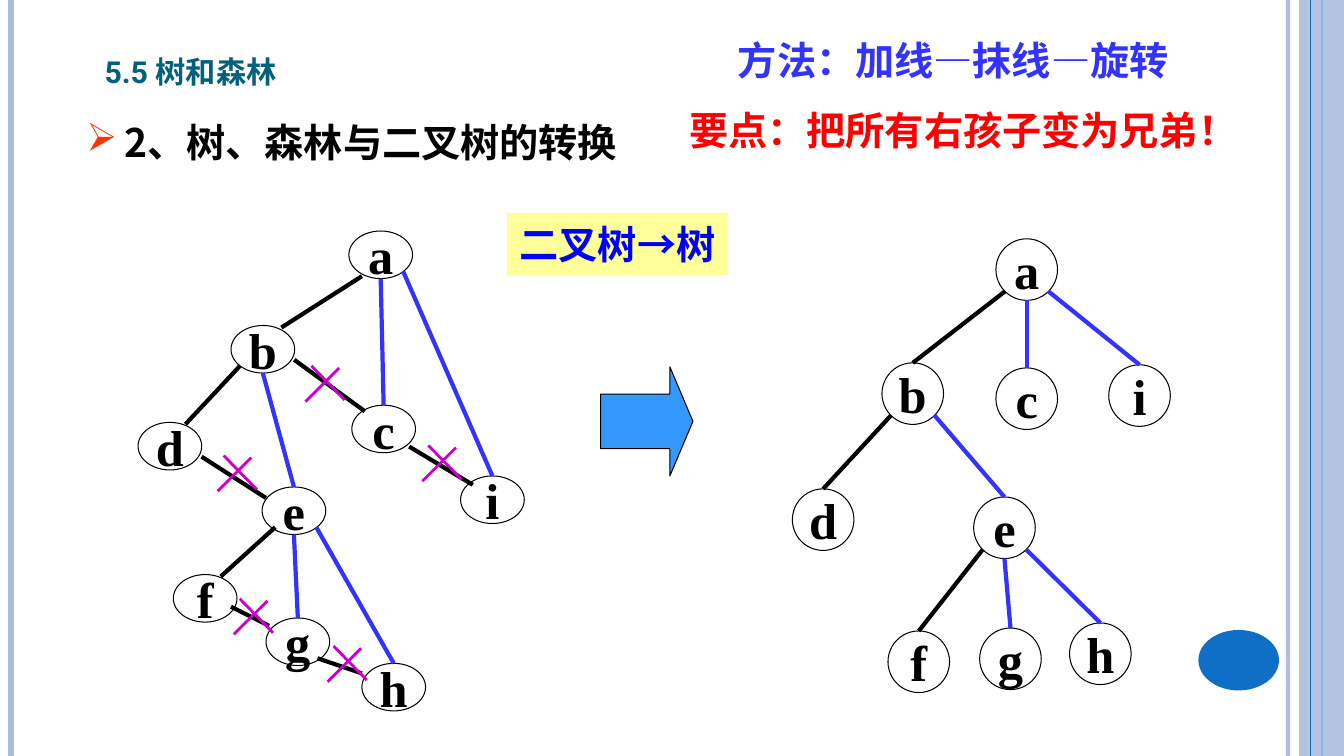
from dataclasses import dataclass
from math import sqrt
from typing import Optional

from lxml.etree import SubElement
from pptx import Presentation
from pptx.dml.color import RGBColor
from pptx.enum.shapes import MSO_CONNECTOR as Connector, MSO_SHAPE as Shape
from pptx.enum.text import MSO_ANCHOR as Anchor, PP_ALIGN as Align
from pptx.oxml.ns import qn
from pptx.util import Pt

COLORS = {
    "black": "000000", "white": "FFFFFF", "edge": "ABBBDF", "accent": "0F6FC6",
    "teal": "04617B", "bullet": "FF3300", "label": "FFFF99", "label_text": "0000FF",
    "added": "3333FF", "red": "FF0000", "arrow": "3399FF", "cross": "CC00CC",
}
CJK = "Noto Sans CJK SC"
HEIGHT = 540

Point = tuple[float, float]


@dataclass(frozen=True)
class Node:
    letter: str
    left: float
    top: float


@dataclass(frozen=True)
class Link:
    parent: str
    site: str
    child: str
    color: str = "added"


@dataclass(frozen=True)
class Caption:
    text: str
    box: tuple[float, float, float, float]
    color: str
    size: float = 28
    font: str = CJK
    anchor: Anchor = Anchor.TOP
    wrap: bool = True


BINARY_SIZE = (45.5, 34)
BINARY_TREE = [
    Node("a", 249.2, 165), Node("b", 165, 232.5), Node("e", 187.2, 347.8),
    Node("i", 329, 340), Node("d", 98.6, 301.7), Node("f", 123.8, 410.4),
    Node("h", 258.5, 473.8), Node("g", 190, 441.4), Node("c", 251.3, 289.4),
]
BINARY_EDGES = [
    ((258.5, 197.3), (201, 234)), ((171.4, 261.4), (132.5, 303)),
    ((196.6, 376.6), (157.7, 411.8)), ((210.2, 257), (260.6, 293.8)),
    ((292.3, 319), (337.7, 346.3)), ((144, 326.2), (190, 355.7)),
    ((165, 433.4), (192.2, 447)), ((226.8, 470.2), (258.5, 481)),
]
ADDED_LINKS = [
    Link("a", "bottom", "c"), Link("a", "right", "i"), Link("b", "bottom", "e"),
    Link("e", "bottom", "g"), Link("e", "right", "h"),
]
CROSSES = [(218.2, 261.4), (301.7, 318.2), (155.5, 325.4), (167, 427.7), (234, 461.5)]
CROSS_STROKES = [((24, 1.5), (0, 25.5)), ((4.3, 0), (28, 24.3))]

TREE_SIZE = (44, 44)
TREE = [
    Node("a", 711.4, 170.6), Node("b", 630, 259.2), Node("e", 695.5, 355),
    Node("i", 792, 260.6), Node("d", 566, 349.2), Node("f", 634.3, 450.7),
    Node("h", 764, 445), Node("g", 699.8, 448.6), Node("c", 711.4, 262.8),
]
TREE_LINKS = [
    Link("a", "left", "b", "black"), Link("a", "bottom", "c"), Link("a", "right", "i"),
    Link("b", "left", "d", "black"), Link("b", "right", "e"),
    Link("e", "left", "f", "black"), Link("e", "bottom", "g"), Link("e", "right", "h"),
]

SECTION = Caption("5.5 树和森林", (67.7, 24.5, 211, 44), "teal", 27, "Roboto", Anchor.BOTTOM)
TOPIC = Caption("2、树、森林与二叉树的转换", (54.7, 72.7, 844, 87), "black")
METHOD = Caption("方法：加线—抹线—旋转", (520, 22.3, 327.6, 41), "added", wrap=False)
KEY_POINT = Caption("要点：把所有右孩子变为兄弟！", (485.3, 72.7, 413.3, 41), "red")


def rgb(name: str) -> RGBColor:
    return RGBColor.from_string(COLORS[name])


def set_alpha(fill_owner, percent: int) -> None:
    color = next(fill_owner.iter(qn("a:srgbClr")))
    SubElement(color, qn("a:alpha")).set("val", str(percent * 1000))


def style_text(paragraph, color: str, size: float, font: str) -> None:
    for run in paragraph.runs:
        run.font.size, run.font.bold, run.font.name = Pt(size), True, font
        run.font.color.rgb = rgb(color)
        SubElement(run._r.get_or_add_rPr(), qn("a:ea")).set("typeface", font if font != "Roboto" else CJK)


def add_line(slide, start: Point, end: Point, color: str, width: float):
    line = slide.shapes.add_connector(Connector.STRAIGHT, *map(Pt, start + end))
    line.line.color.rgb = rgb(color)
    line.line.width = Pt(width)
    SubElement(line._element.spPr, qn("a:effectLst"))
    return line


def add_figure(slide, kind: Shape, box, fill: Optional[str], outlined: bool = False):
    figure = slide.shapes.add_shape(kind, *map(Pt, box))
    figure.shadow.inherit = False
    if fill:
        figure.fill.solid()
        figure.fill.fore_color.rgb = rgb(fill)
    else:
        figure.fill.background()
    if outlined:
        figure.line.color.rgb = rgb("black")
        figure.line.width = Pt(0.75)
    else:
        figure.line.fill.background()
    return figure


def write_centred(figure, text: str, color: str, size: float, font: str, wrap: bool) -> None:
    frame = figure.text_frame
    frame.text = text
    frame.word_wrap = wrap
    frame.vertical_anchor = Anchor.MIDDLE
    frame.paragraphs[0].alignment = Align.CENTER
    style_text(frame.paragraphs[0], color, size, font)


def add_caption(slide, caption: Caption):
    frame = slide.shapes.add_textbox(*map(Pt, caption.box)).text_frame
    frame.text = caption.text
    frame.word_wrap = caption.wrap
    frame.vertical_anchor = caption.anchor
    style_text(frame.paragraphs[0], caption.color, caption.size, caption.font)
    return frame.paragraphs[0]


def add_bullet(paragraph, char: str, color: str, indent: float) -> None:
    paragraph.line_spacing = 1.25
    props = paragraph._p.get_or_add_pPr()
    props.set("marL", str(Pt(indent)))
    props.set("indent", str(-Pt(indent)))
    SubElement(SubElement(props, qn("a:buClr")), qn("a:srgbClr")).set("val", COLORS[color])
    SubElement(props, qn("a:buChar")).set("char", char)


def add_nodes(slide, nodes: list[Node], size: Point, fill: Optional[str]) -> None:
    for node in nodes:
        oval = add_figure(slide, Shape.OVAL, (node.left, node.top) + size, fill, True)
        write_centred(oval, node.letter, "black", 36, "Times New Roman", False)


def add_links(slide, links: list[Link], nodes: list[Node], size: Point) -> None:
    """Join a site on the lower half of each parent to the top of its child."""
    width, height = size
    diagonal = 1 / sqrt(2)
    sites = {"left": (-diagonal, diagonal), "bottom": (0, 1), "right": (diagonal, diagonal)}
    by_letter = {node.letter: node for node in nodes}
    for link in links:
        parent, child = by_letter[link.parent], by_letter[link.child]
        across, down = sites[link.site]
        start = (parent.left + width / 2 * (1 + across), parent.top + height / 2 * (1 + down))
        add_line(slide, start, (child.left + width / 2, child.top), link.color, 3)


def add_frame(slide) -> None:
    inner = add_line(slide, (920, 0), (920, HEIGHT), "edge", 3)
    set_alpha(inner._element, 93)
    add_line(slide, (8, 0), (8, HEIGHT), "edge", 4.5)
    add_line(slide, (944, 0), (944, HEIGHT), "accent", 1.5)
    band = add_figure(slide, Shape.RECTANGLE, (928, 0, 32, HEIGHT), "edge")
    set_alpha(band._element.spPr, 87)
    add_line(slide, (936, 0), (936, HEIGHT), "accent", 0.75)
    add_figure(slide, Shape.OVAL, (856, 450, 57.6, 43.2), "accent")


def main() -> None:
    deck = Presentation()
    deck.slide_width, deck.slide_height = Pt(960), Pt(HEIGHT)
    slide = deck.slides.add_slide(deck.slide_layouts[6])
    add_frame(slide)

    section = add_caption(slide, SECTION)
    section.runs[0]._r.get_or_add_rPr().set("cap", "small")
    add_bullet(add_caption(slide, TOPIC), "➢", "bullet", 27)
    direction = add_figure(slide, Shape.RECTANGLE, (362.2, 152, 157.7, 44.6), "label")
    write_centred(direction, "二叉树→树", "label_text", 28, CJK, True)
    add_caption(slide, METHOD)
    add_caption(slide, KEY_POINT)

    add_nodes(slide, BINARY_TREE, BINARY_SIZE, None)
    for start, end in BINARY_EDGES:
        add_line(slide, start, end, "black", 3)
    add_nodes(slide, TREE, TREE_SIZE, "white")
    arrow = add_figure(slide, Shape.RIGHT_ARROW, (429, 262, 66, 78), "arrow", True)
    arrow.adjustments[1] = 0.25
    add_links(slide, ADDED_LINKS, BINARY_TREE, BINARY_SIZE)
    for left, top in CROSSES:
        for (x1, y1), (x2, y2) in CROSS_STROKES:
            add_line(slide, (left + x1, top + y1), (left + x2, top + y2), "cross", 2)
    add_links(slide, TREE_LINKS, TREE, TREE_SIZE)
    deck.save("out.pptx")


if __name__ == "__main__":
    main()
